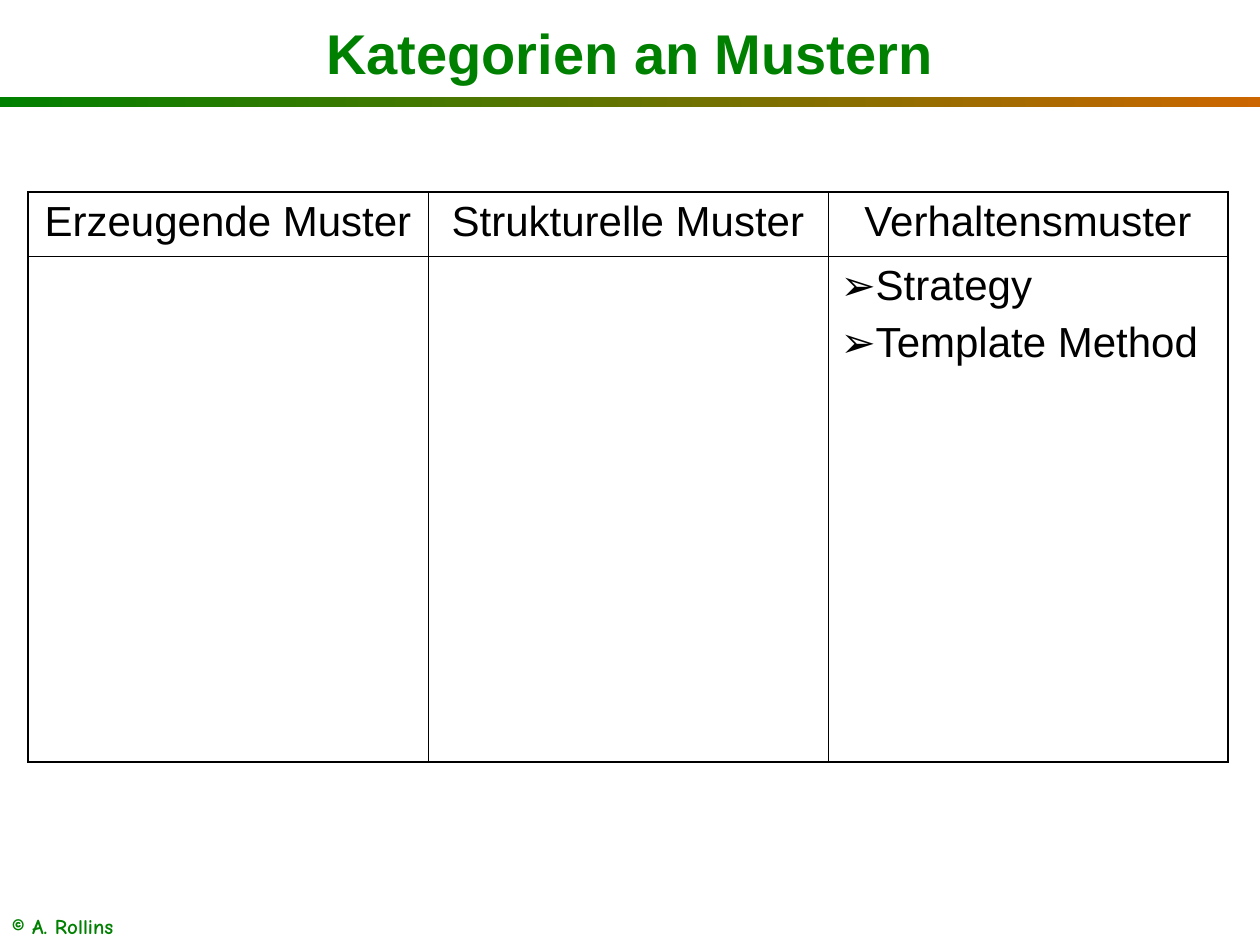
from lxml.etree import SubElement
from pptx import Presentation
from pptx.dml.color import RGBColor
from pptx.enum.shapes import MSO_SHAPE
from pptx.enum.text import MSO_ANCHOR, PP_ALIGN
from pptx.oxml.ns import qn
from pptx.util import Pt

PX = 914400 // 126
GREEN, ORANGE, BLACK = "008000", "CC6600", "000000"
OUTER, INNER = Pt(1.08), Pt(0.45)


def px(*lengths):
    return [length * PX for length in lengths]


def style(paragraph, size, color, name="Arial", bold=False):
    font = paragraph.font
    font.size, font.name, font.bold = Pt(size), name, bold
    font.color.rgb = RGBColor.from_string(color)


prs = Presentation()
prs.slide_width, prs.slide_height = px(1260, 945)
slide = prs.slides.add_slide(prs.slide_layouts[5])

# Title and gradient rule
title = slide.shapes.title
title.left, title.top, title.width, title.height = px(0, 6, 1260, 93)
title.text_frame.text = "Kategorien an Mustern"
title.text_frame.vertical_anchor = MSO_ANCHOR.MIDDLE
heading = title.text_frame.paragraphs[0]
heading.alignment = PP_ALIGN.CENTER
style(heading, 32, GREEN, bold=True)

rule = slide.shapes.add_shape(MSO_SHAPE.RECTANGLE, *px(0, 97, 1260, 10))
rule.shadow.inherit = False
rule.line.fill.background()
rule.fill.gradient()
rule.fill.gradient_angle = 0
for stop, color in zip(rule.fill.gradient_stops, (GREEN, ORANGE)):
    stop.color.rgb = RGBColor.from_string(color)

# Table of pattern categories
categories = {
    "Erzeugende Muster": [],
    "Strukturelle Muster": [],
    "Verhaltensmuster": ["Strategy", "Template Method"],
}
table = slide.shapes.add_table(2, 3, *px(28, 192, 1200, 570)).table
table.first_row = table.horz_banding = False
for row, height in zip(table.rows, px(64, 506)):
    row.height = height

for col, (category, patterns) in enumerate(categories.items()):
    header, body = table.cell(0, col), table.cell(1, col)
    header.text = category
    body.text = "\n".join(patterns)
    header.text_frame.paragraphs[0].alignment = PP_ALIGN.CENTER

    for row, cell in enumerate((header, body)):
        for paragraph in cell.text_frame.paragraphs:
            paragraph.space_before = Pt(6)
            style(paragraph, 24, BLACK)
        tc_pr = cell._tc.get_or_add_tcPr()
        on_edge = {"lnL": col == 0, "lnR": col == 2, "lnT": row == 0, "lnB": row == 1}
        for side, outer in on_edge.items():
            border = SubElement(tc_pr, qn(f"a:{side}"), w=str(OUTER if outer else INNER))
            SubElement(SubElement(border, qn("a:solidFill")), qn("a:srgbClr"), val=BLACK)
        cell.fill.background()

    if patterns:
        for paragraph in body.text_frame.paragraphs:
            p_pr = paragraph._p.get_or_add_pPr()
            bullet_color = SubElement(p_pr, qn("a:buClr"))
            SubElement(bullet_color, qn("a:srgbClr"), val=BLACK)
            SubElement(p_pr, qn("a:buFont"), typeface="Arial")
            SubElement(p_pr, qn("a:buChar"), char="➢")
            # Schema order puts the default run properties after the bullet
            p_pr.append(p_pr.find(qn("a:defRPr")))

# Footer
footer = slide.shapes.add_textbox(*px(12, 908, 189, 32)).text_frame
footer.word_wrap = True
footer.margin_left, footer.margin_top, footer.margin_right, footer.margin_bottom = px(0, 6, 13, 0)
footer.text = "© A. Rollins"
footer.paragraphs[0].space_before = Pt(7.5)
style(footer.paragraphs[0], 12, GREEN, "Comic Neue", bold=True)

prs.save("out.pptx")
